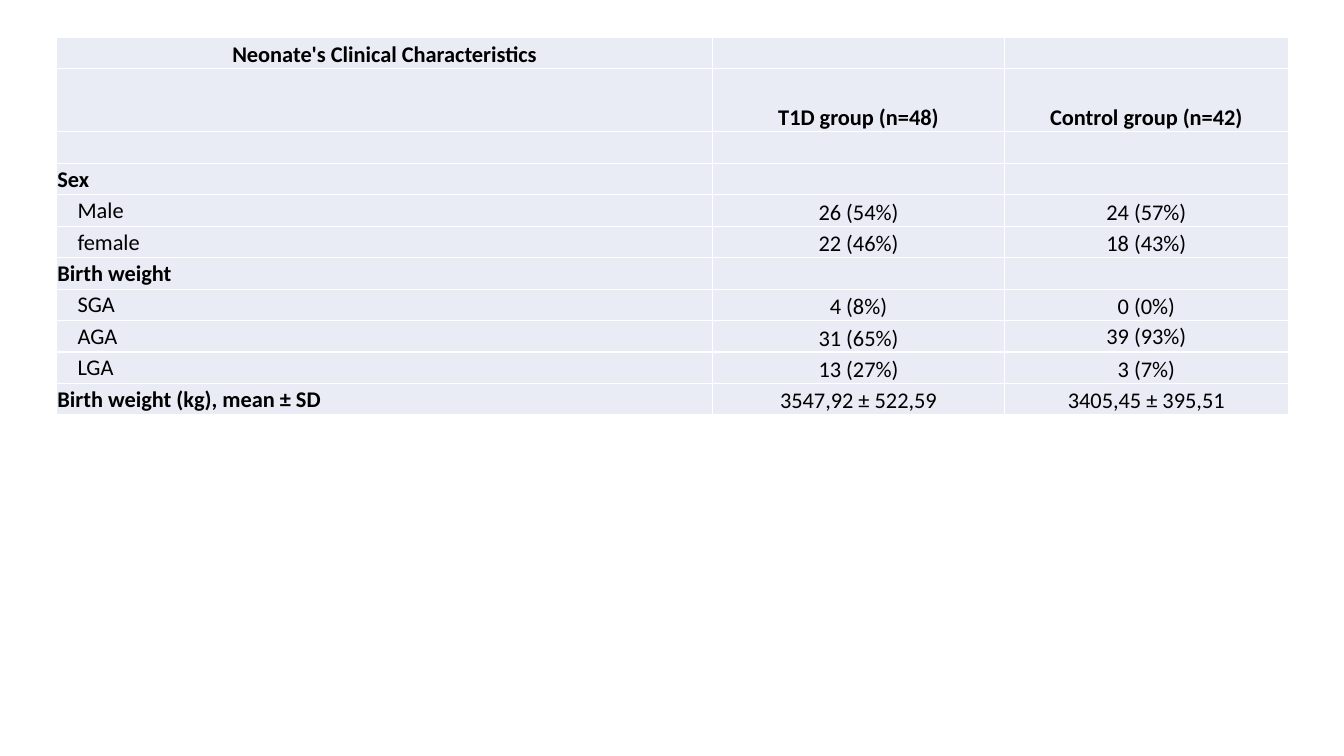
from dataclasses import dataclass

from lxml import etree
from pptx import Presentation
from pptx.dml.color import RGBColor
from pptx.enum import text
from pptx.oxml import ns
from pptx.util import Inches, Pt


@dataclass(frozen=True)
class Theme:
    """Hold the colours, font and type size."""
    font: str = "Calibri"
    size: int = 16
    ink: str = "000000"
    fill: str = "E9EBF5"
    rule: str = "FFFFFF"


THEME = Theme()
WIDTHS = (6.51, 2.89, 2.82)
HEIGHT = 3.75
HEAD = 1
ROWS = (
    ("Neonate's Clinical Characteristics", "", ""),
    ("", "T1D group (n=48)", "Control group (n=42)"),
    ("", "", ""),
    ("Sex", "", ""),
    ("Male", "26 (54%)", "24 (57%)"),
    ("female", "22 (46%)", "18 (43%)"),
    ("Birth weight", "", ""),
    ("SGA", "4 (8%)", "0 (0%)"),
    ("AGA", "31 (65%)", "39 (93%)"),
    ("LGA", "13 (27%)", "3 (7%)"),
    ("Birth weight (kg), mean ± SD", "3547,92 ± 522,59", "3405,45 ± 395,51"),
)
ITEMS = {"Male", "female", "SGA", "AGA", "LGA"}
MIDDLE = {"39 (93%)"}


def add_rules(cell):
    """Draw a thin rule on each side of a cell."""
    props = cell._tc.get_or_add_tcPr()
    for side in ("lnL", "lnR", "lnT", "lnB"):
        line = etree.SubElement(props, ns.qn(f"a:{side}"), w=str(Pt(1)))
        fill = etree.SubElement(line, ns.qn("a:solidFill"))
        etree.SubElement(fill, ns.qn("a:srgbClr"), val=THEME.rule)


def fill_cell(cell, words, bold, label, inset):
    """Write and format one cell."""
    add_rules(cell)
    cell.fill.solid()
    cell.fill.fore_color.rgb = RGBColor.from_string(THEME.fill)
    cell.margin_left = Inches(inset)
    cell.margin_right = cell.margin_top = Inches(0.01)
    cell.margin_bottom = 0
    anchor = text.MSO_ANCHOR
    middle = label or words in MIDDLE
    cell.vertical_anchor = anchor.MIDDLE if middle else anchor.BOTTOM
    cell.text = words
    para = cell.text_frame.paragraphs[0]
    para.alignment = text.PP_ALIGN.LEFT if label else text.PP_ALIGN.CENTER
    font = para.font
    font.name, font.size, font.bold = THEME.font, Pt(THEME.size), bold
    font.color.rgb = RGBColor.from_string(THEME.ink)


def add_grid(slide):
    """Add the table of neonate data."""
    frame = slide.shapes.add_table(
        len(ROWS), len(WIDTHS), Inches(0.56), Inches(0.37),
        Inches(sum(WIDTHS)), Inches(HEIGHT))
    table = frame.table
    table.first_row = table.horz_banding = False
    for col, width in zip(table.columns, WIDTHS):
        col.width = Inches(width)
    unit = HEIGHT / (len(ROWS) + 1)
    for i, row in enumerate(ROWS):
        table.rows[i].height = Inches(unit * (2 if i == HEAD else 1))
        for j, words in enumerate(row):
            label = j == 0 and i > HEAD
            item = words in ITEMS
            bold = i <= HEAD or (label and not item)
            fill_cell(table.cell(i, j), words, bold, label,
                      0.21 if item else 0.01)


def main():
    """Build and save the slide."""
    deck = Presentation()
    deck.slide_width, deck.slide_height = Inches(13.33), Inches(7.5)
    add_grid(deck.slides.add_slide(deck.slide_layouts[6]))
    deck.save("out.pptx")


if __name__ == "__main__":
    main()
